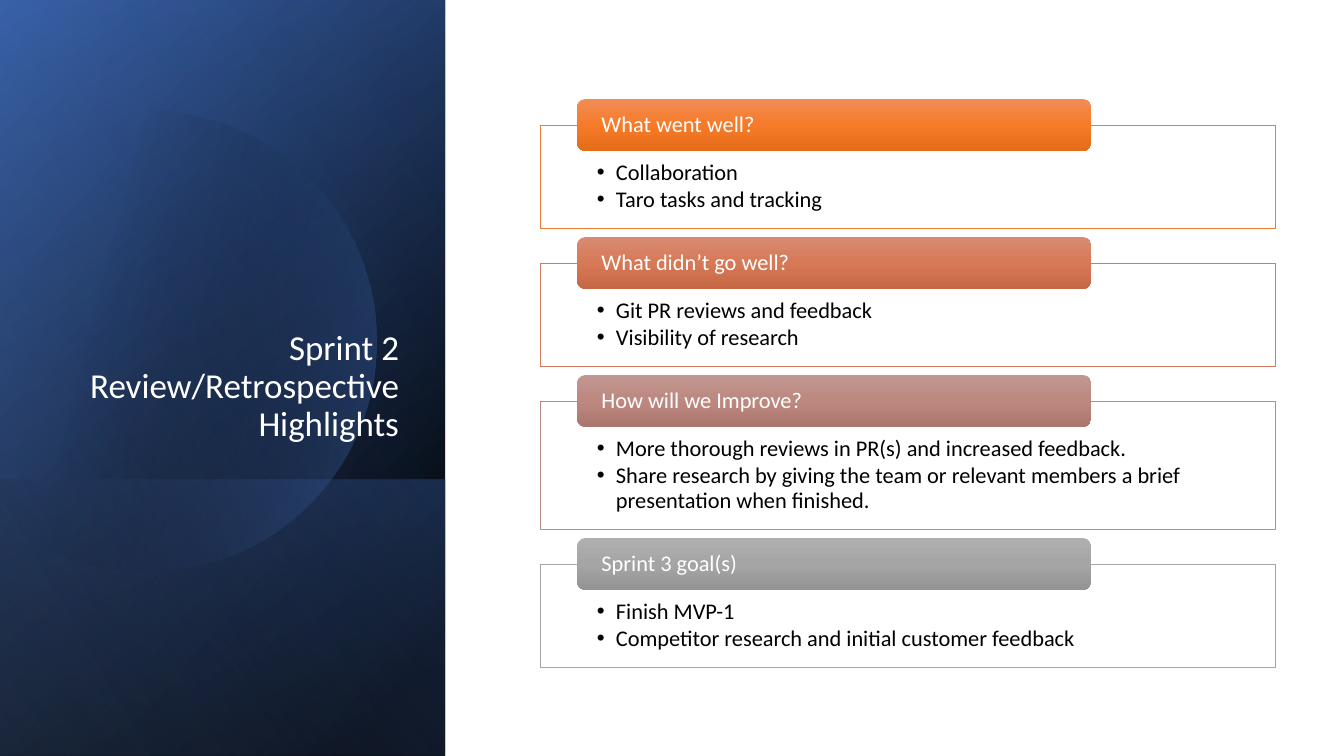
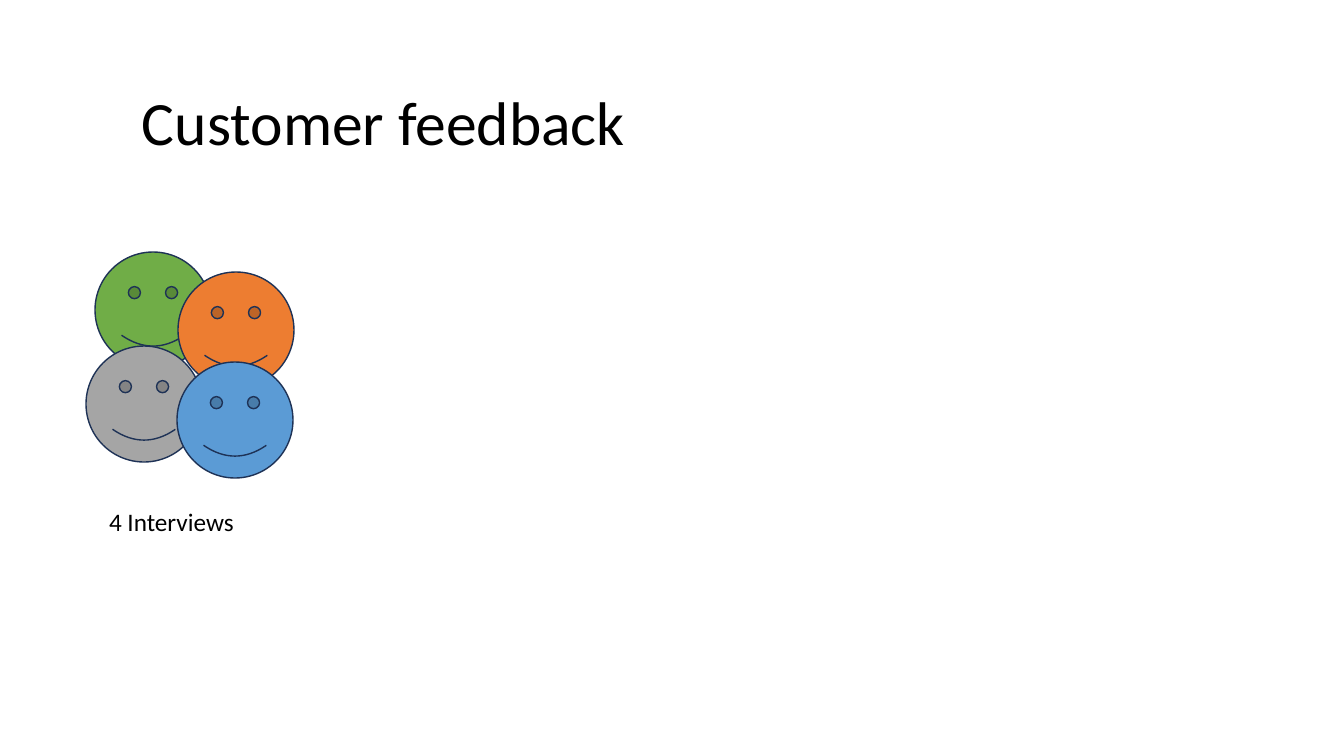
import math

from pptx import Presentation
from pptx.dml.color import RGBColor
from pptx.enum.shapes import MSO_SHAPE
from pptx.enum.text import MSO_ANCHOR, MSO_AUTO_SIZE, PP_ALIGN
from pptx.oxml import parse_xml
from pptx.oxml.ns import nsdecls, qn
from pptx.util import Emu, Pt

RECT, ROUNDED, SMILEY = MSO_SHAPE.RECTANGLE, MSO_SHAPE.ROUNDED_RECTANGLE, MSO_SHAPE.SMILEY_FACE
TOP, MIDDLE, BOTTOM = MSO_ANCHOR.TOP, MSO_ANCHOR.MIDDLE, MSO_ANCHOR.BOTTOM
LEFT, RIGHT = PP_ALIGN.LEFT, PP_ALIGN.RIGHT

FONT = "Calibri"
EMU_PER_PX = 914400 / 100.8
SLIDE_W, SLIDE_H = 1344, 756
TITLE_ONLY = 5

BLACK = RGBColor(0x00, 0x00, 0x00)
WHITE = RGBColor(0xFF, 0xFF, 0xFF)
NAVY = RGBColor(0x2F, 0x55, 0x97)
BLUE = RGBColor(0x44, 0x72, 0xC4)
PALE_BLUE = RGBColor(0x8F, 0xAA, 0xDC)
FACE_LINE = RGBColor(0x1E, 0x32, 0x56)
GREEN = RGBColor(0x70, 0xAD, 0x47)
ORANGE = RGBColor(0xED, 0x7D, 0x31)
GREY = RGBColor(0xA5, 0xA5, 0xA5)
SKY = RGBColor(0x5B, 0x9B, 0xD5)
CLAY = RGBColor(0xD1, 0x7B, 0x5C)
ROSE = RGBColor(0xB9, 0x8A, 0x82)

# Header gradients, from top to bottom
ORANGE_SHADES = (RGBColor(0xF1, 0x8C, 0x57), RGBColor(0xF6, 0x7B, 0x28), RGBColor(0xE5, 0x6C, 0x19))
CLAY_SHADES = (RGBColor(0xD7, 0x8B, 0x72), RGBColor(0xD7, 0x79, 0x56), RGBColor(0xC6, 0x68, 0x46))
ROSE_SHADES = (RGBColor(0xC1, 0x97, 0x91), RGBColor(0xBC, 0x88, 0x80), RGBColor(0xAA, 0x76, 0x6E))
GREY_SHADES = (RGBColor(0xAF, 0xAF, 0xAF), GREY, RGBColor(0x93, 0x93, 0x93))

# Heading, points, body height, outline, header gradient
REVIEW_CARDS = [
    ("What went well?", ["Collaboration", "Taro tasks and tracking"],
     103, ORANGE, ORANGE_SHADES),
    ("What didn’t go well?", ["Git PR reviews and feedback", "Visibility of research"],
     103, CLAY, CLAY_SHADES),
    ("How will we Improve?",
     ["More thorough reviews in PR(s) and increased feedback.",
      "Share research by giving the team or relevant members a brief presentation when finished."],
     128, ROSE, ROSE_SHADES),
    ("Sprint 3 goal(s)", ["Finish MVP-1", "Competitor research and initial customer feedback"],
     103, GREY, GREY_SHADES),
]

# Left and top within the cluster, colour
FACES = [(9, 0, GREEN), (92, 20, ORANGE), (0, 94, GREY), (91, 110, SKY)]


def px(length):
    return Emu(round(length * EMU_PER_PX))


def write(frame, paragraphs, size=16, color=BLACK, align=LEFT, anchor=TOP,
          insets=(10, 5, 10, 5), spacing=0.9, after=0, bullet_indent=0):
    """Fill a text frame with equally formatted paragraphs."""
    frame.word_wrap = True
    frame.auto_size = MSO_AUTO_SIZE.NONE
    frame.vertical_anchor = anchor
    (frame.margin_left, frame.margin_top,
     frame.margin_right, frame.margin_bottom) = map(px, insets)
    for index, text in enumerate(paragraphs):
        paragraph = frame.paragraphs[0] if index == 0 else frame.add_paragraph()
        paragraph.alignment = align
        paragraph.line_spacing = spacing
        paragraph.space_before, paragraph.space_after = Pt(0), Pt(after)
        run = paragraph.add_run()
        run.text = text
        run.font.name, run.font.size = FONT, Pt(size)
        run.font.color.rgb = color
        if bullet_indent:
            properties = paragraph._p.get_or_add_pPr()
            properties.set("marL", str(px(bullet_indent)))
            properties.set("indent", str(-px(bullet_indent)))
            properties.append(parse_xml(f'<a:buFont {nsdecls("a")} typeface="Arial"/>'))
            properties.append(parse_xml(f'<a:buChar {nsdecls("a")} char="•"/>'))


def paint(shape, fill=None, line=None, line_width=1):
    """Remove the shadow, then set a plain fill and an outline or none."""
    shape.shadow.inherit = False
    if fill is None:
        shape.fill.background()
    else:
        shape.fill.solid()
        shape.fill.fore_color.rgb = fill
    if line is None:
        shape.line.fill.background()
    else:
        shape.line.color.rgb = line
        shape.line.width = Pt(line_width)


def paint_gradient(shape, stops, angle):
    """Stops are (position %, colour, opacity %); the angle runs clockwise."""
    paint(shape)
    stop_xml = "".join(
        f'<a:gs pos="{position * 1000}"><a:srgbClr val="{color}">'
        f'<a:alpha val="{opacity * 1000}"/></a:srgbClr></a:gs>'
        for position, color, opacity in stops)
    gradient = parse_xml(
        f'<a:gradFill {nsdecls("a")} rotWithShape="1"><a:gsLst>{stop_xml}</a:gsLst>'
        f'<a:lin ang="{angle * 60000}" scaled="0"/></a:gradFill>')
    properties = shape._element.spPr
    properties.replace(properties.find(qn("a:noFill")), gradient)


def add_box(slide, kind, left, top, width, height):
    return slide.shapes.add_shape(kind, px(left), px(top), px(width), px(height))


def add_title_slide(prs):
    return prs.slides.add_slide(prs.slide_layouts[TITLE_ONLY])


def place_title(slide, text, left, top, width, height, **text_format):
    title = slide.shapes.title
    title.left, title.top = px(left), px(top)
    title.width, title.height = px(width), px(height)
    write(title.text_frame, [text], **text_format)


def draw_disc(slide, left, center_x, center_y, radius):
    """Circle cut off at the panel's left edge."""
    cut = math.ceil(math.degrees(math.acos((left - center_x) / radius)))
    points = [(px(max(left, center_x + radius * math.cos(math.radians(a)))),
               px(center_y + radius * math.sin(math.radians(a))))
              for a in range(-cut, cut + 1, 2)]
    outline = slide.shapes.build_freeform(*points[0])
    outline.add_line_segments(points[1:], close=True)
    paint_gradient(outline.convert_to_shape(), [(29, BLACK, 0), (100, BLUE, 43)], 14)


def draw_panel(slide, left, top, width, height):
    """Dark side panel built from layered gradients."""
    def layer(offset, stops, angle):
        band = add_box(slide, RECT, left, top + offset, width, height - offset)
        paint_gradient(band, stops, angle)

    layer(0, [(8, BLACK, 100), (100, NAVY, 100)], 220)
    layer(0, [(0, BLACK, 0), (99, BLUE, 46)], 240)
    layer(480, [(2, BLUE, 29), (100, BLACK, 30)], 140)
    draw_disc(slide, left, left + 146, top + 341, 230)
    layer(0, [(0, BLACK, 0), (99, PALE_BLUE, 11)], 150)


def draw_cards(slide, left, top, width, header_height=52, gap=9):
    """Stack of outlined cards, each with a header over its top edge."""
    for heading, points, body_height, outline, shades in REVIEW_CARDS:
        body_top = top + header_height // 2
        body = add_box(slide, RECT, left, body_top, width, body_height)
        paint(body, WHITE, outline, 0.5)
        write(body.text_frame, points, insets=(57, 36, 57, 12), after=2.4, bullet_indent=19)

        header = add_box(slide, ROUNDED, left + 37, top, width * 0.7, header_height)
        paint_gradient(header, [(i * 50, shade, 100) for i, shade in enumerate(shades)], 90)
        write(header.text_frame, [heading], color=WHITE, anchor=MIDDLE, insets=(22, 0, 22, 0))
        top = body_top + body_height + gap


def draw_faces(slide, left, top, size):
    for x, y, color in FACES:
        paint(add_box(slide, SMILEY, left + x, top + y, size, size), color, FACE_LINE)


def build_review(prs):
    slide = add_title_slide(prs)
    draw_panel(slide, 0, 0, 445, SLIDE_H)
    # The title belongs in front of the panel
    title = slide.shapes.title._element
    title.getparent().append(title)
    place_title(slide, "Sprint 2 Review/Retrospective Highlights", 65, 185, 344, 264,
                size=25, color=WHITE, align=RIGHT, anchor=BOTTOM)
    draw_cards(slide, 540, 99, 735)


def build_feedback(prs):
    slide = add_title_slide(prs)
    place_title(slide, "Customer feedback", 132, 56, 808, 140, size=44, anchor=MIDDLE)
    draw_faces(slide, 86, 252, 116)
    caption = slide.shapes.add_textbox(px(99), px(501), px(184), px(40))
    write(caption.text_frame, ["4 Interviews"], size=18, spacing=1.0)


def main():
    prs = Presentation()
    prs.slide_width, prs.slide_height = px(SLIDE_W), px(SLIDE_H)
    build_review(prs)
    build_feedback(prs)
    prs.save("out.pptx")


if __name__ == "__main__":
    main()
